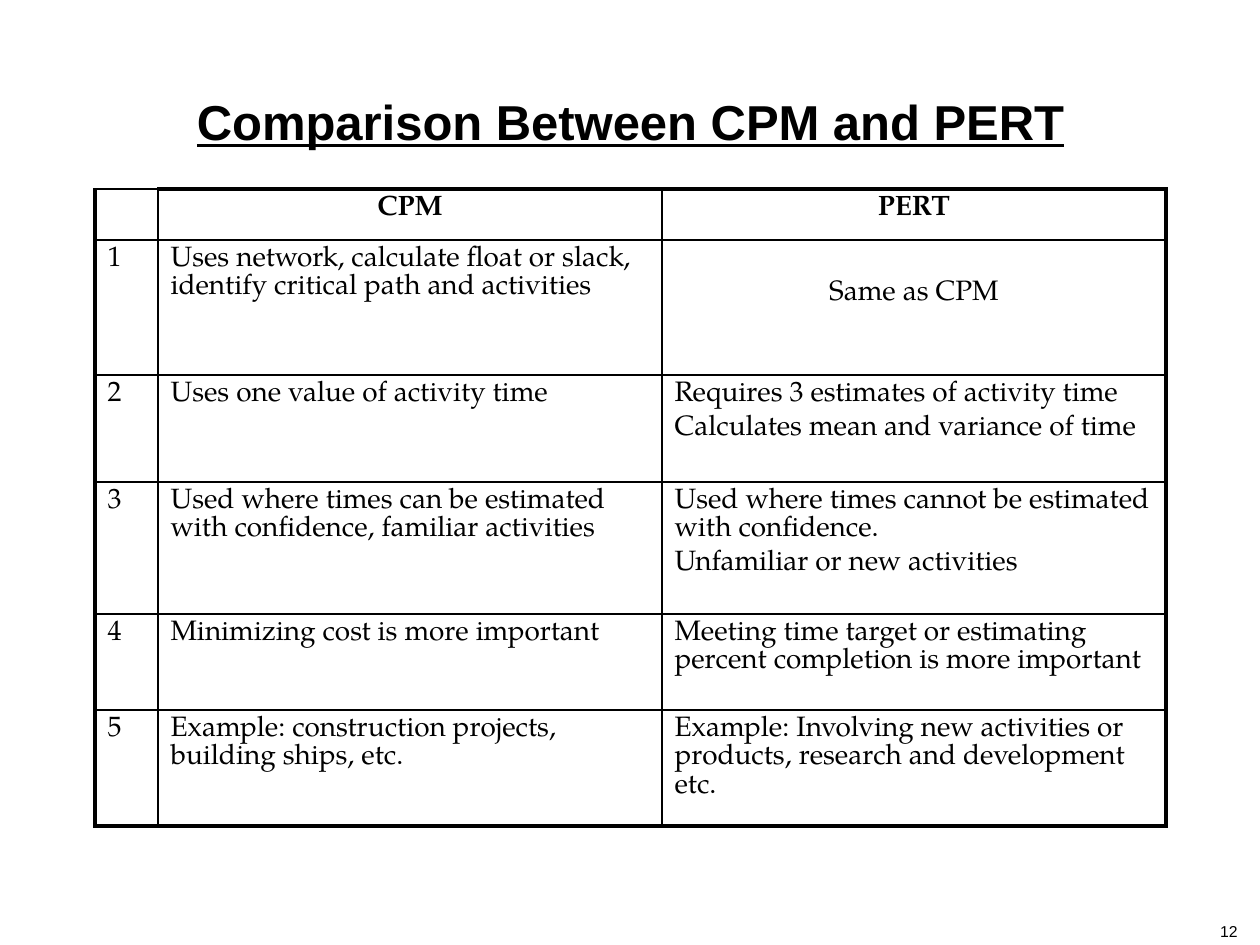
from dataclasses import dataclass

from lxml.etree import SubElement
from pptx import Presentation
from pptx.dml.color import RGBColor
from pptx.enum.text import MSO_ANCHOR, PP_ALIGN
from pptx.oxml.ns import qn
from pptx.util import Emu, Pt


@dataclass(frozen=True)
class Theme:
    """Colours, fonts and sizes of the slide."""
    ink: str = "000000"
    paper: str = "FFFFFF"
    heading_font: str = "Arial"
    table_font: str = "TeX Gyre Pagella"
    title_size: float = 28
    table_size: float = 16
    number_size: float = 9
    paragraph_gap: float = 3.2
    thin: float = 1
    thick: float = 2.25


THEME = Theme()
PX_PER_INCH = 126
COLUMNS = [63, 504, 504]
ROWS = [51, 135, 107, 132, 96, 116]
LOWERED_MARGIN = 40
COMPARISON = [
    ("Uses network, calculate float or slack, identify critical path and activities",
     ["Same as CPM"]),
    ("Uses one value of activity time",
     ["Requires 3 estimates of activity time", "Calculates mean and variance of time"]),
    ("Used where times can be estimated with confidence, familiar activities",
     ["Used where times cannot be estimated with confidence.",
      "Unfamiliar or new activities"]),
    ("Minimizing cost is more important",
     ["Meeting time target or estimating percent completion is more important"]),
    ("Example: construction projects, building ships, etc.",
     ["Example: Involving new activities or products, research and development etc."]),
]


def px(length):
    """Turn pixels into EMU."""
    return Emu(round(length * 914400 / PX_PER_INCH))


def place(box, left, top, width, height):
    """Set the position and size of a shape."""
    box.left, box.top, box.width, box.height = map(px, (left, top, width, height))


def write(frame, lines, font, size, align=PP_ALIGN.LEFT, bold=False, underline=False):
    """Fill a text frame with one paragraph per line."""
    frame.word_wrap = True
    for index, line in enumerate(lines):
        para = frame.add_paragraph() if index else frame.paragraphs[0]
        para.alignment = align
        para.space_before = Pt(THEME.paragraph_gap if index else 0)
        span = para.add_run()
        span.text = line
        span.font.name = font
        span.font.size = Pt(size)
        span.font.bold = bold
        span.font.underline = underline
        span.font.color.rgb = RGBColor.from_string(THEME.ink)


def set_borders(cell, widths):
    """Draw the left, right, top and bottom borders of a cell."""
    properties = cell._tc.get_or_add_tcPr()
    for index, (side, width) in enumerate(zip("LRTB", widths)):
        line = SubElement(properties, qn(f"a:ln{side}"), w=str(Pt(width)))
        fill = SubElement(line, qn("a:solidFill"))
        SubElement(fill, qn("a:srgbClr"), val=THEME.ink)
        properties.insert(index, line)


def add_title(page, text):
    """Put the heading in the title placeholder."""
    box = page.shapes.title
    place(box, 95, 84, 1071, 73)
    box.text_frame.vertical_anchor = MSO_ANCHOR.MIDDLE
    write(box.text_frame, [text], THEME.heading_font, THEME.title_size,
          PP_ALIGN.CENTER, bold=True, underline=True)


def fill_cell(cell, lines, row, column):
    """Write and frame one cell of the comparison."""
    cell.fill.solid()
    cell.fill.fore_color.rgb = RGBColor.from_string(THEME.paper)
    lowered = row == 1 and column == 2
    if lowered:
        cell.margin_top = px(LOWERED_MARGIN)
    align = PP_ALIGN.CENTER if row == 0 or lowered else PP_ALIGN.LEFT
    write(cell.text_frame, lines, THEME.table_font, THEME.table_size, align, bold=row == 0)
    outer = (column == 0, column == len(COLUMNS) - 1,
             row == 0 and column > 0, row == len(ROWS) - 1)
    set_borders(cell, [THEME.thick if edge else THEME.thin for edge in outer])


def add_comparison(page):
    """Add the table that sets CPM beside PERT."""
    table = page.shapes.add_table(len(ROWS), len(COLUMNS), px(95), px(189),
                                  px(sum(COLUMNS)), px(sum(ROWS))).table
    table.first_row = table.horz_banding = False
    for column, width in zip(table.columns, COLUMNS):
        column.width = px(width)
    for row, height in zip(table.rows, ROWS):
        row.height = px(height)
    content = [([], ["CPM"], ["PERT"])]
    content += [([str(number)], [cpm], pert)
                for number, (cpm, pert) in enumerate(COMPARISON, 1)]
    for row, cells in enumerate(content):
        for column, lines in enumerate(cells):
            fill_cell(table.cell(row, column), lines, row, column)


def add_page_number(page, number):
    """Add the page number in the bottom right corner."""
    box = page.shapes.add_textbox(px(1197), px(916), px(53), px(21))
    write(box.text_frame, [number], THEME.heading_font, THEME.number_size, PP_ALIGN.RIGHT)


def main():
    """Build and save the slide."""
    deck = Presentation()
    deck.slide_width, deck.slide_height = px(1260), px(945)
    page = deck.slides.add_slide(deck.slide_layouts.get_by_name("Title Only"))
    add_title(page, "Comparison Between CPM and PERT")
    add_comparison(page)
    add_page_number(page, "12")
    deck.save("out.pptx")


if __name__ == "__main__":
    main()
